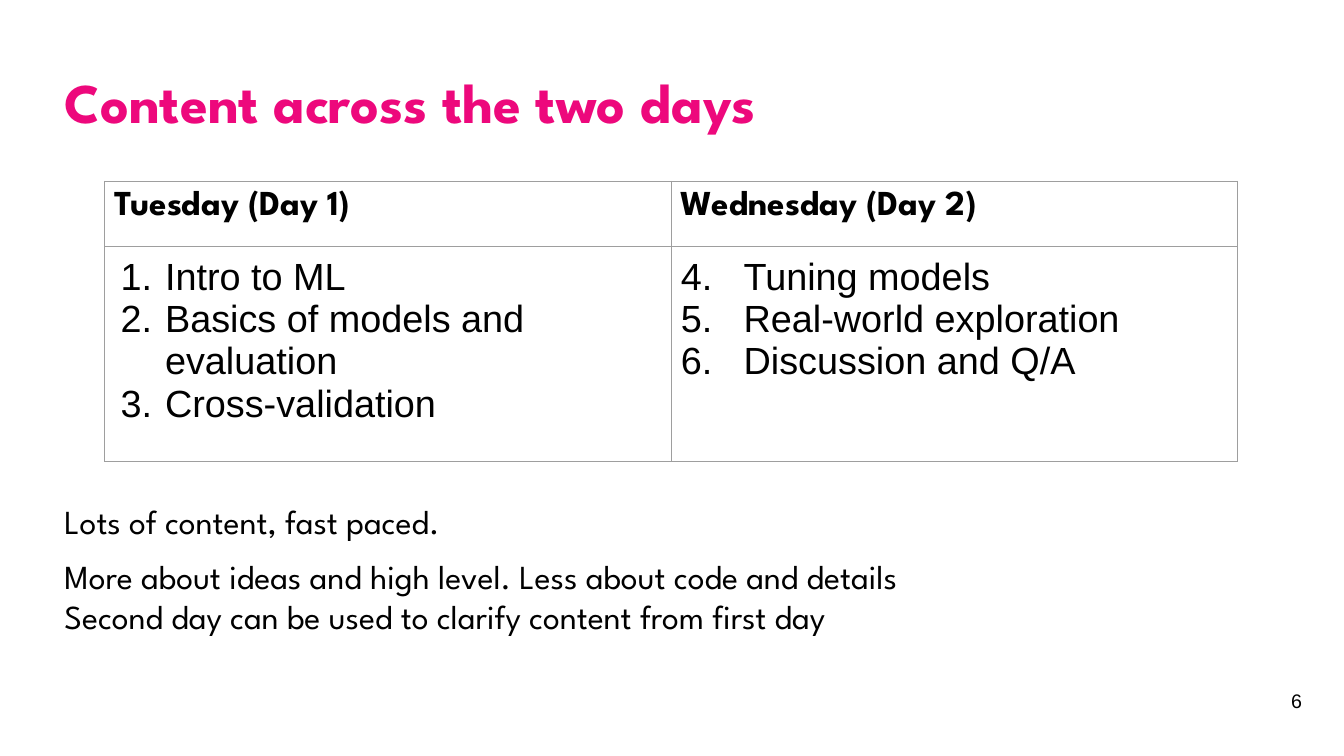
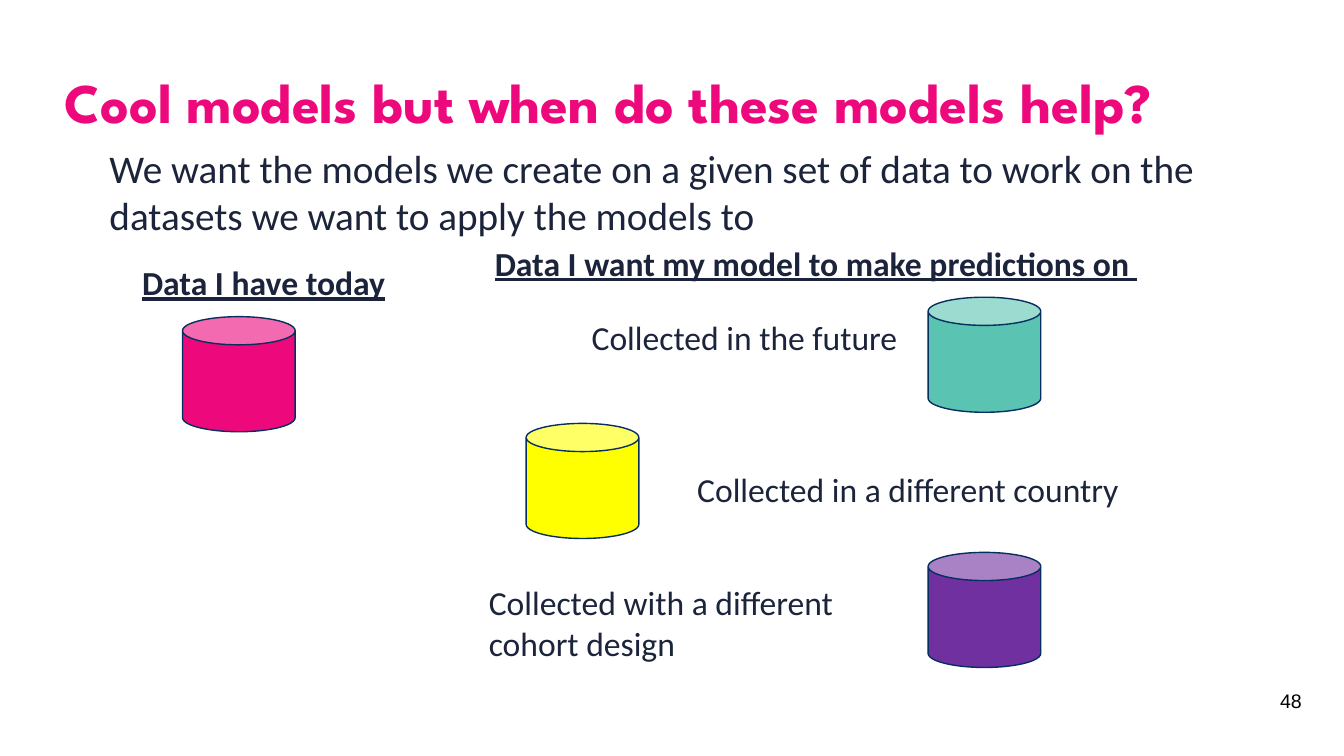
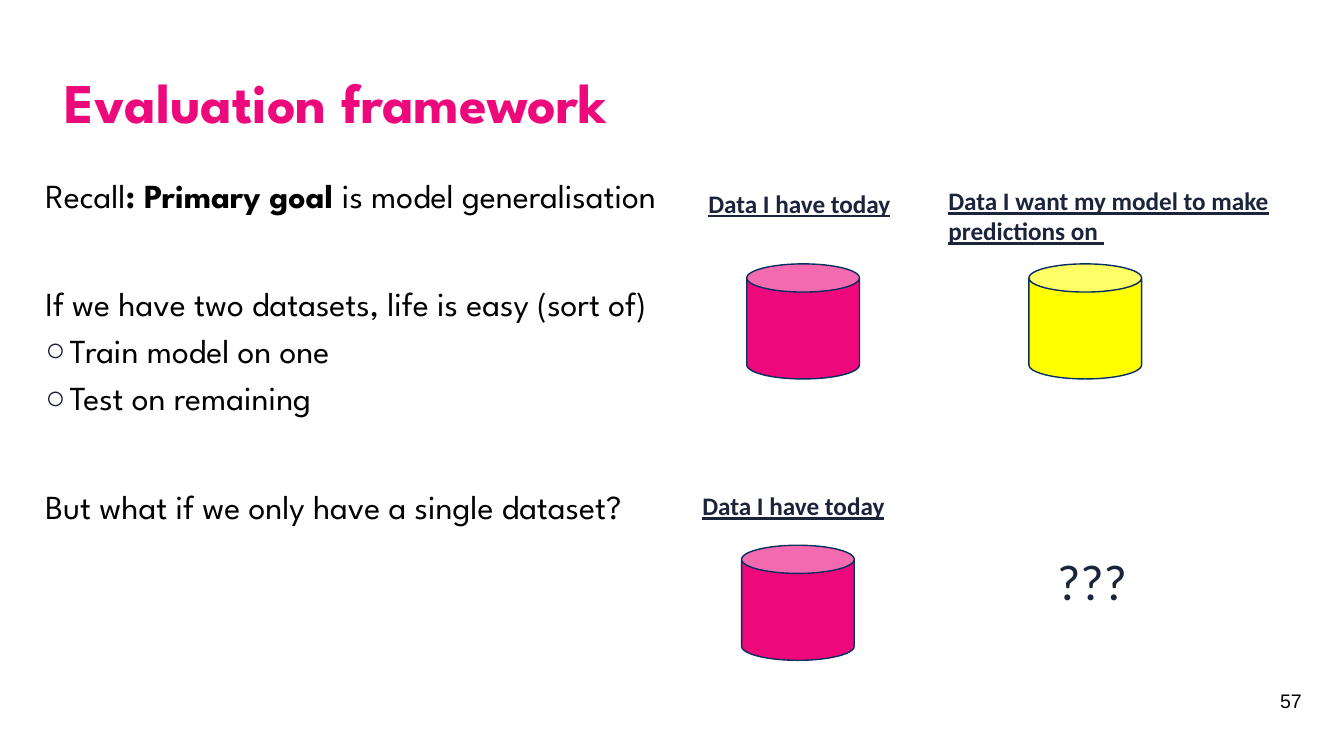
from dataclasses import dataclass

from lxml import etree
from pptx import Presentation
from pptx import util as u
from pptx.dml import color as c
from pptx.enum import shapes, text
from pptx.oxml import ns


@dataclass(frozen=True)
class Theme:
    pink: str = "ED087C"
    teal: str = "5AC3B1"
    yellow: str = "FFFF00"
    purple: str = "7030A0"
    outline: str = "062F5F"
    navy: str = "1B243B"
    black: str = "000000"
    grid: str = "9E9E9E"
    display_font: str = "League Spartan"
    label_font: str = "Calibri"
    plain_font: str = "Arial"
    title_size: int = 40
    question_size: int = 36
    intro_size: int = 28
    list_size: int = 27
    header_size: int = 25
    body_size: int = 24
    caption_size: int = 18
    number_size: int = 14


THEME = Theme()
TODAY = "Data I have today"
TARGET = "Data I want my model to make predictions on "


def rgb(value):
    return c.RGBColor.from_string(value)


def add_element(parent, tag, **attributes):
    element = etree.SubElement(parent, ns.qn(tag))
    for name, value in attributes.items():
        element.set(name, str(value))
    return element


def write_text(paragraph, content, size=THEME.body_size, color=THEME.black,
               font=THEME.display_font, bold=False, underline=False,
               align=text.PP_ALIGN.LEFT, before=0, spacing=1.0):
    paragraph.alignment = align
    paragraph.space_before = u.Pt(before)
    paragraph.line_spacing = spacing
    for index, line in enumerate(content.split("\n")):
        if index:
            paragraph.add_line_break()
        run = paragraph.add_run()
        run.text = line
        run.font.size = u.Pt(size)
        run.font.name = font
        run.font.color.rgb = rgb(color)
        run.font.bold = bold
        run.font.underline = underline


def set_bullet(paragraph, tag, color=None, margin=0, hanging=0, **attributes):
    properties = paragraph._p.get_or_add_pPr()
    properties.set("marL", str(u.Cm(margin)))
    properties.set("indent", str(-u.Cm(hanging)))
    if color:
        bullet_color = add_element(properties, "a:buClr")
        add_element(bullet_color, "a:srgbClr", val=color)
    add_element(properties, tag, **attributes)


def next_paragraph(frame):
    first = frame.paragraphs[0]
    return frame.add_paragraph() if first.runs else first


def place(shape, left, top, width, height):
    shape.left, shape.top = u.Cm(left), u.Cm(top)
    shape.width, shape.height = u.Cm(width), u.Cm(height)


def add_text_box(slide, left, top, width, height):
    box = slide.shapes.add_textbox(u.Cm(left), u.Cm(top), u.Cm(width), u.Cm(height))
    box.text_frame.word_wrap = True
    return box.text_frame


def add_slide(presentation, title, number, layout):
    slide = presentation.slides.add_slide(presentation.slide_layouts.get_by_name(layout))
    place(slide.shapes.title, 1.37, 1.09, 31.7, 2.46)
    frame = slide.shapes.title.text_frame
    frame.auto_size = text.MSO_AUTO_SIZE.NONE
    frame.vertical_anchor = text.MSO_ANCHOR.BOTTOM
    write_text(frame.paragraphs[0], title, size=THEME.title_size, color=THEME.pink,
               bold=True, spacing=0.9)
    frame = add_text_box(slide, 30.45, 17.15, 2.36, 1.02)
    frame.vertical_anchor = text.MSO_ANCHOR.MIDDLE
    frame.margin_right = 0
    write_text(frame.paragraphs[0], str(number), size=THEME.number_size,
               font=THEME.plain_font, align=text.PP_ALIGN.RIGHT)
    return slide


def place_body(slide, left, top, width, height):
    body = slide.placeholders[1]
    place(body, left, top, width, height)
    body.text_frame.auto_size = text.MSO_AUTO_SIZE.NONE
    return body.text_frame


def add_body_line(frame, content, **style):
    paragraph = next_paragraph(frame)
    set_bullet(paragraph, "a:buNone")
    write_text(paragraph, content, **style)
    return paragraph


def add_body_bullet(frame, content):
    paragraph = next_paragraph(frame)
    paragraph.level = 1
    set_bullet(paragraph, "a:buChar", THEME.navy, 0.61, 0.61, char="○")
    write_text(paragraph, content, before=5)


def add_label(slide, content, left, top, width, height=1.28, **style):
    frame = add_text_box(slide, left, top, width, height)
    frame.auto_size = text.MSO_AUTO_SIZE.SHAPE_TO_FIT_TEXT
    write_text(frame.paragraphs[0], content, color=THEME.navy,
               font=THEME.label_font, **style)


def add_heading(slide, content, left, top, width, height=1.28, size=THEME.body_size):
    add_label(slide, content, left, top, width, height, size=size,
              bold=True, underline=True)


def add_dataset(slide, left, top, fill):
    can = slide.shapes.add_shape(shapes.MSO_SHAPE.CAN, u.Cm(left), u.Cm(top),
                                 u.Cm(2.84), u.Cm(2.9))
    can.shadow.inherit = False
    can.fill.solid()
    can.fill.fore_color.rgb = rgb(fill)
    can.line.color.rgb = rgb(THEME.outline)
    can.line.width = u.Pt(1)


def format_cell(cell):
    cell.margin_left = cell.margin_right = u.Cm(0.25)
    cell.margin_top = cell.margin_bottom = u.Cm(0.25)
    cell.fill.background()
    properties = cell._tc.get_or_add_tcPr()
    for index, side in enumerate(("a:lnL", "a:lnR", "a:lnT", "a:lnB")):
        border = add_element(properties, side, w=u.Pt(0.75))
        fill = add_element(border, "a:solidFill")
        add_element(fill, "a:srgbClr", val=THEME.grid)
        properties.insert(index, border)


def add_agenda(slide, days):
    frame = slide.shapes.add_table(2, len(days), u.Cm(2.64), u.Cm(4.57),
                                   u.Cm(14.27 * len(days)), u.Cm(7.07))
    table = frame.table
    table.first_row = table.horz_banding = False
    table.rows[0].height, table.rows[1].height = u.Cm(1.63), u.Cm(5.44)
    start = 1
    for column, (day, topics, margin, hanging) in enumerate(days):
        table.columns[column].width = u.Cm(14.27)
        header, content = table.cell(0, column), table.cell(1, column)
        format_cell(header)
        format_cell(content)
        write_text(header.text_frame.paragraphs[0], day,
                   size=THEME.header_size, bold=True)
        for topic in topics:
            paragraph = next_paragraph(content.text_frame)
            set_bullet(paragraph, "a:buAutoNum", THEME.black, margin, hanging,
                       type="arabicPeriod", startAt=start)
            write_text(paragraph, topic, size=THEME.list_size, font=THEME.plain_font)
        start += len(topics)


def build_content_slide(presentation):
    slide = add_slide(presentation, "Content across the two days", 6, "Title and Content")
    add_agenda(slide, [
        ("Tuesday (Day 1)",
         ["Intro to ML", "Basics of models and evaluation", "Cross-validation"],
         1.27, 1.12),
        ("Wednesday (Day 2)",
         ["Tuning models", "Real-world exploration", "Discussion and Q/A"],
         1.58, 1.58),
    ])
    frame = place_body(slide, 1.37, 12.5, 31.7, 4.3)
    add_body_line(frame, "Lots of content, fast paced.")
    add_body_line(frame, "More about ideas and high level. Less about code and details\n"
                         "Second day can be used to clarify content from first day", before=10)


def build_models_slide(presentation):
    slide = add_slide(presentation, "Cool models but when do these models help?", 48,
                      "Title Only")
    add_label(slide, "We want the models we create on a given set of data to work on the "
                     "datasets we want to apply the models to",
              2.51, 3.51, 29.62, 2.64, size=THEME.intro_size)
    add_heading(slide, TODAY, 3.33, 6.48, 6.71)
    add_heading(slide, TARGET, 12.22, 5.99, 16.84)
    for left, top, fill in ((4.6, 7.98, THEME.pink), (23.39, 7.49, THEME.teal),
                            (13.26, 10.67, THEME.yellow), (23.39, 13.92, THEME.purple)):
        add_dataset(slide, left, top, fill)
    add_label(slide, "Collected in the future", 14.66, 7.87, 8.31)
    add_label(slide, "Collected in a different country", 17.32, 11.68, 11.25)
    add_label(slide, "Collected with a different cohort design", 12.07, 14.55, 11.33, 2.31)


def build_evaluation_slide(presentation):
    slide = add_slide(presentation, "Evaluation framework", 57, "Title and Content")
    frame = place_body(slide, 0.89, 4.27, 16.5, 12.17)
    recall = add_body_line(frame, "Recall")
    write_text(recall, ": Primary goal ", bold=True)
    write_text(recall, "is model generalisation")
    section_gap = 48.5
    add_body_line(frame, "If we have two datasets, life is easy (sort of)", before=section_gap)
    add_body_bullet(frame, "Train model on one")
    add_body_bullet(frame, "Test on remaining")
    add_body_line(frame, "But what if we only have a single dataset?", before=section_gap)

    add_heading(slide, TODAY, 17.6, 4.62, 5.2, 1.02, THEME.caption_size)
    add_heading(slide, TARGET, 23.65, 4.55, 9.6, 1.8, THEME.caption_size)
    add_dataset(slide, 18.82, 6.65, THEME.pink)
    add_dataset(slide, 25.93, 6.65, THEME.yellow)
    add_heading(slide, TODAY, 17.45, 12.24, 5.2, 1.02, THEME.caption_size)
    add_dataset(slide, 18.69, 13.74, THEME.pink)
    add_label(slide, "???", 26.39, 13.74, 2.29, 1.8, size=THEME.question_size)


def main():
    presentation = Presentation()
    presentation.slide_width, presentation.slide_height = u.Cm(33.87), u.Cm(19.05)
    build_content_slide(presentation)
    build_models_slide(presentation)
    build_evaluation_slide(presentation)
    presentation.save("out.pptx")


if __name__ == "__main__":
    main()
